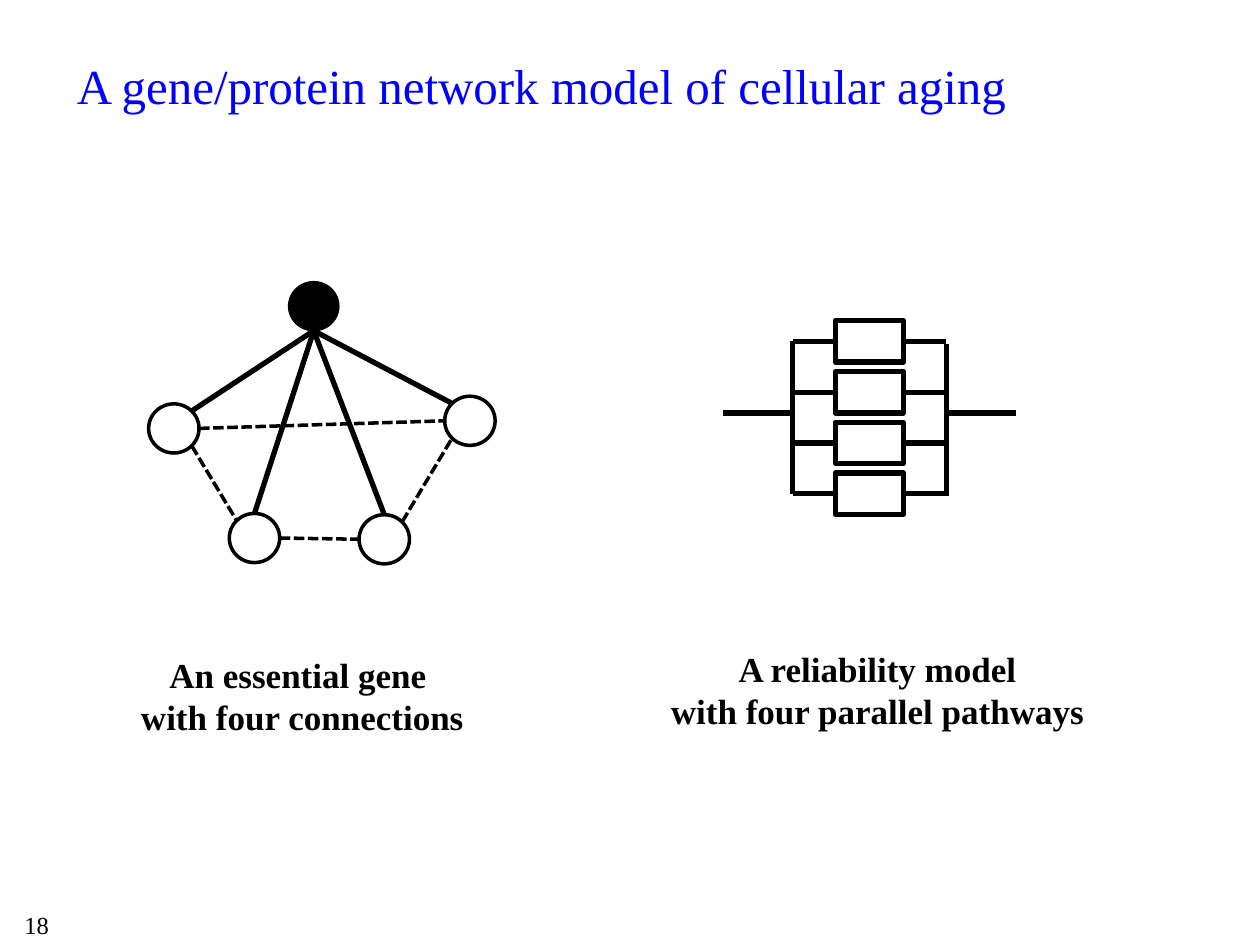
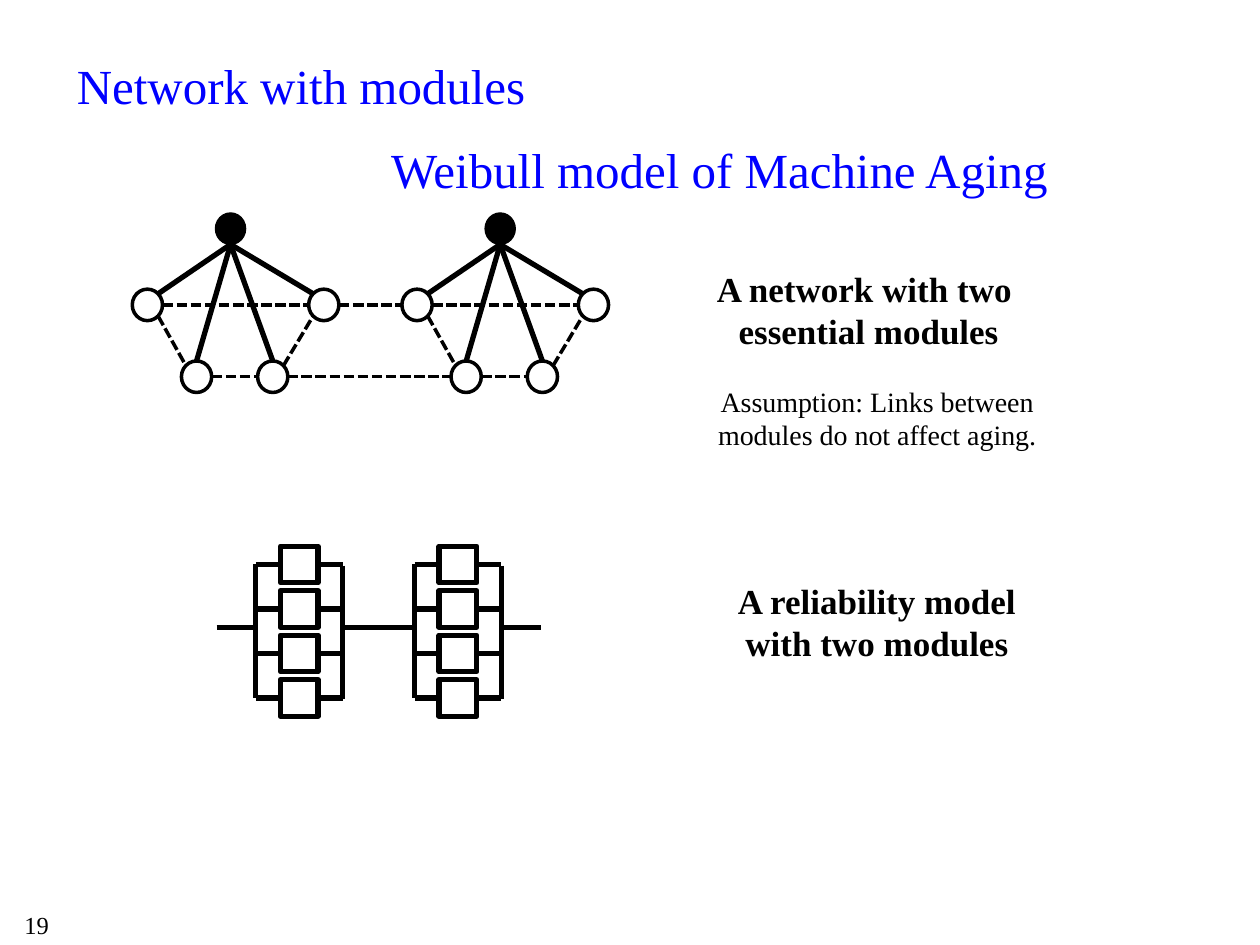
"""Two slides on gene networks and the reliability models that match them."""

import lxml.etree
import pptx
import pptx.dml.color
import pptx.enum.dml
import pptx.enum.shapes
import pptx.enum.text
import pptx.oxml.ns
import pptx.util

HUES = {"ink": "000000", "title": "0000FF", "paper": "FFFFFF"}
FONT = "Times New Roman"
COLS, ROWS = 100, 75
DIAG = 0.5 ** 0.5
SHAPE = pptx.enum.shapes.MSO_SHAPE
ALIGN = pptx.enum.text.PP_ALIGN
DASH = pptx.enum.dml.MSO_LINE.SQUARE_DOT


def hue(name):
    return pptx.dml.color.RGBColor.from_string(HUES[name])


class Deck:
    """Holds the shared style and the current slide; lengths are grid columns and rows."""

    def __init__(self):
        self.show = pptx.Presentation()
        self.show.slide_width = pptx.util.Inches(10)
        self.show.slide_height = pptx.util.Inches(7.5)
        self.col = self.show.slide_width / COLS
        self.row = self.show.slide_height / ROWS
        self.slide = None

    def grid(self, x, y):
        return round(x * self.col), round(y * self.row)

    def page(self, title, number):
        self.slide = self.show.slides.add_slide(self.show.slide_layouts[5])
        fill = self.slide.background.fill
        fill.solid()
        fill.fore_color.rgb = hue("paper")
        self.text(number, (-4.5, 71.7, 14.8, 3.3), 14)
        head = self.slide.shapes.title
        head.left, head.top = self.grid(5.1, 2.6)
        head.width, head.height = self.grid(85, 12.5)
        frame = head.text_frame
        frame.text = title
        frame.word_wrap = True
        frame.auto_size = pptx.enum.text.MSO_AUTO_SIZE.NONE
        frame.vertical_anchor = pptx.enum.text.MSO_ANCHOR.MIDDLE
        frame.margin_bottom = self.grid(0, 4.7)[1]
        self.style(frame, 28, "title", align=ALIGN.LEFT)

    def style(self, frame, size, color="ink", bold=False, align=ALIGN.CENTER):
        for para in frame.paragraphs:
            para.alignment = align
            for run in para.runs:
                font = run.font
                font.name, font.size, font.bold = FONT, pptx.util.Pt(size), bold
                font.color.rgb = hue(color)

    def text(self, words, area, size, color="ink", bold=False, wrap=True):
        box = self.slide.shapes.add_textbox(*self.grid(*area[:2]), *self.grid(*area[2:]))
        frame = box.text_frame
        frame.text = words
        frame.word_wrap = wrap
        frame.auto_size = pptx.enum.text.MSO_AUTO_SIZE.SHAPE_TO_FIT_TEXT
        self.style(frame, size, color, bold)

    def label(self, words, area, size=20, bold=True):
        self.text(words, area, size, bold=bold, wrap=False)

    def shape(self, kind, mid, size, fill=None, width=3):
        (x, y), (w, h) = mid, size
        item = self.slide.shapes.add_shape(
            kind, *self.grid(x - w / 2, y - h / 2), *self.grid(w, h))
        item.shadow.inherit = False
        if fill:
            item.fill.solid()
            item.fill.fore_color.rgb = hue(fill)
        else:
            item.fill.background()
        item.line.color.rgb = hue("ink")
        item.line.width = pptx.util.Pt(width)

    def line(self, start, end, width=3, dash=None):
        item = self.slide.shapes.add_connector(
            pptx.enum.shapes.MSO_CONNECTOR.STRAIGHT, *self.grid(*start), *self.grid(*end))
        item.line.color.rgb = hue("ink")
        item.line.width = pptx.util.Pt(width)
        if dash:
            item.line.dash_style = dash
        lxml.etree.SubElement(item._element.spPr, pptx.oxml.ns.qn("a:effectLst"))

    def network(self, nodes, size, shift=0):
        """Draw a filled hub, its four neighbours and the links between them."""
        spots = {name: (x + shift, y) for name, (x, y) in nodes.items()}

        def rim(name, right, down):
            x, y = spots[name]
            part = DIAG if right and down else 1
            return x + right * part * size[0] / 2, y + down * part * size[1] / 2

        for name, mid in spots.items():
            hub = name == "hub"
            self.shape(SHAPE.OVAL, mid, size, "ink" if hub else None, 0.75 if hub else 2)
        for end in (("west", 1, -1), ("left", 0, -1), ("right", 0, -1), ("east", -1, -1)):
            self.line(rim("hub", 0, 1), rim(*end))
        for start, end in (
            (("right", 1, -1), ("east", -1, 1)),
            (("left", 1, 0), ("right", -1, 0)),
            (("west", 1, 0), ("east", -1, 0)),
            (("west", 1, 1), ("left", -1, -1)),
        ):
            self.line(rim(*start), rim(*end), 2, DASH)

    def block(self, left, top, span, step, size, lead, drop):
        """Draw four parallel boxes between two rails, with a lead on each side."""
        right, base, mid = left + span, top + 3 * step, top + 1.41 * step
        self.line((left - lead, mid), (left, mid))
        for y in (top + i * step for i in range(4)):
            self.line((left, y), (right, y))
            self.shape(SHAPE.RECTANGLE, (left + span / 2, y), size, "paper")
        self.line((left, top), (left, base))
        self.line((right, top + drop), (right, base + drop))
        self.line((right, mid), (right + lead, mid))


def main():
    deck = Deck()

    deck.page("A gene/protein network model of cellular aging", "18")
    deck.block(62.9, 27.1, 12.2, 4.03, (5.4, 3.3), 5.5, 0.2)
    deck.network({"hub": (24.9, 24.3), "right": (30.5, 42.8), "left": (20.2, 42.7),
                  "west": (13.8, 34), "east": (37.3, 33.4)}, (4, 3.9))
    deck.label("An essential gene \nwith four connections", (10.1, 51.4, 27.8, 7.7))
    deck.label("A reliability model\nwith four parallel pathways", (52.1, 50.9, 35.1, 7.7))

    deck.page("Network with modules", "19")
    deck.label("A network with two \nessential modules", (55.8, 20.7, 26.3, 7.7))
    deck.label("A reliability model\nwith two modules", (57.5, 45.5, 24.2, 7.7))
    module = {"hub": (18.3, 18.15), "right": (21.65, 29.9), "left": (15.6, 29.9),
              "west": (11.7, 24.2), "east": (25.7, 24.2)}
    for i in range(2):
        deck.network(module, (2.4, 2.5), 21.4 * i)
        deck.block(20.3 + 12.6 * i, 44.8, 6.9, 3.53, (3, 2.9), 3.1, 0.1)
    for start, end, y in ((26.9, 31.9, 24.2), (22.8, 35.8, 29.9)):
        deck.line((start, y), (end, y), 2, DASH)
    deck.label("Assumption: Links between \nmodules do not affect aging. ",
               (55.8, 30, 28.2, 6.4), 16, False)
    deck.text("Weibull model of Machine Aging", (25.2, 10.6, 63.8, 5.7), 28, "title")

    deck.show.save("out.pptx")


if __name__ == "__main__":
    main()
